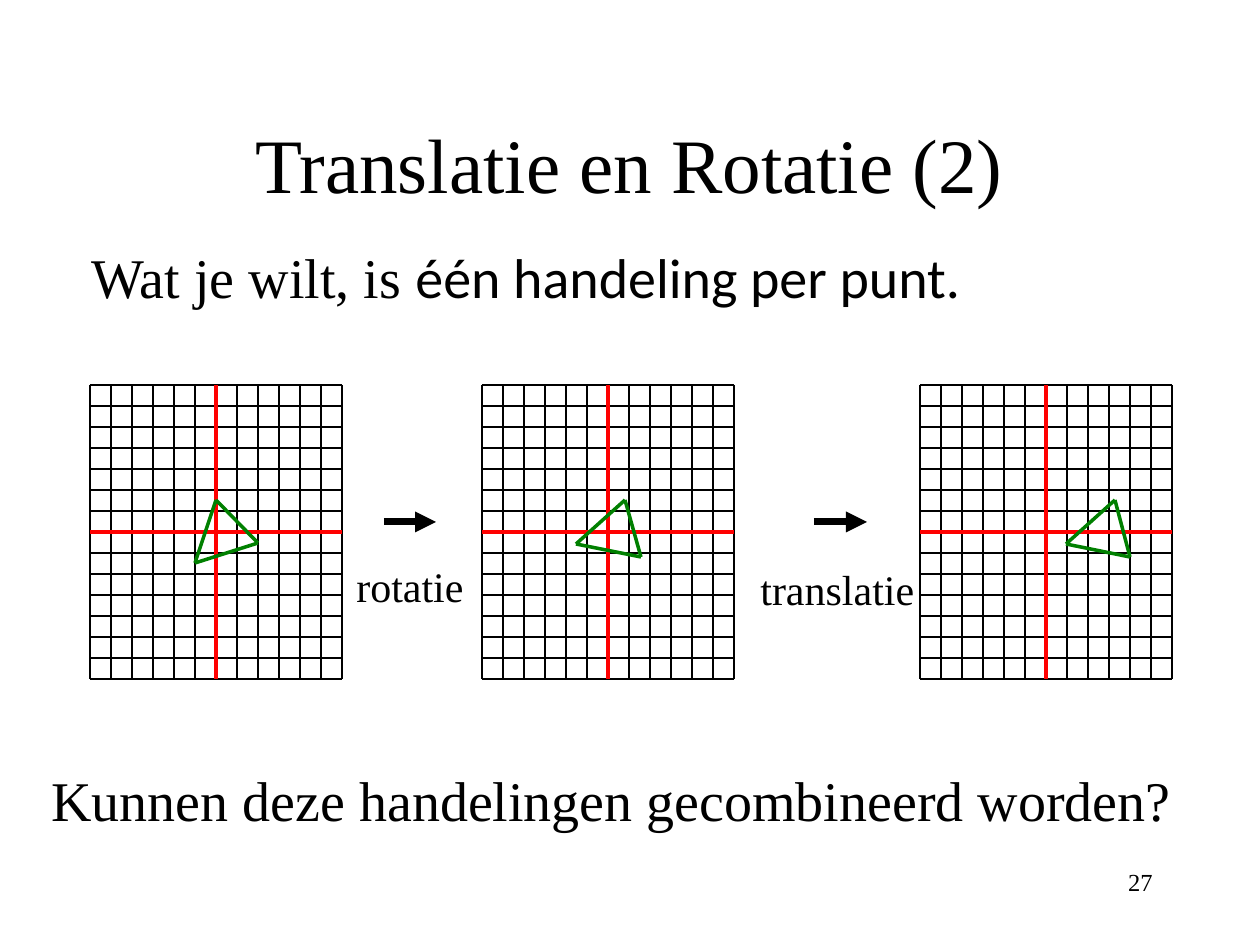
from dataclasses import dataclass

from lxml.etree import SubElement
from pptx import Presentation
from pptx.dml.color import RGBColor
from pptx.enum.shapes import MSO_CONNECTOR as CONN
from pptx.enum.text import MSO_ANCHOR as ANCHOR, PP_ALIGN as ALIGN
from pptx.oxml.ns import qn
from pptx.util import Emu, Pt

SCALE = 914400 / 126
CELL, COLS, ROWS = 21, 12, 14
GRID_TOP = 385
BLACK, RED, GREEN = "000000", "FF0000", "008000"
SERIF, SANS = "Times New Roman", "Calibri"

Point = tuple[int, int]


@dataclass
class Panel:
    left: int
    triangle: list[Point]


@dataclass
class Arrow:
    start: int
    end: int


@dataclass
class Label:
    box: tuple[int, int, int, int]
    runs: list[tuple[str, str]]
    size: int
    align: ALIGN = ALIGN.LEFT
    wrap: bool = True


PANELS = [
    Panel(90, [(216, 500), (195, 563), (258, 543)]),
    Panel(482, [(625, 500), (576, 544), (641, 557)]),
    Panel(920, [(1115, 500), (1066, 544), (1130, 557)]),
]
ARROWS = [Arrow(384, 436), Arrow(814, 867)]
LABELS = [
    Label((79, 236, 1071, 111),
          [("Wat je wilt, is ", SERIF), ("één handeling per punt.", SANS)], 32),
    Label((344, 554, 137, 63), [("rotatie", SERIF)], 24, wrap=False),
    Label((748, 557, 179, 63), [("translatie", SERIF)], 24, wrap=False),
    Label((39, 759, 1152, 81),
          [("Kunnen deze handelingen gecombineerd worden?", SERIF)], 32, wrap=False),
    Label((903, 861, 262, 63), [("27", SERIF)], 14, ALIGN.RIGHT),
]


def px(n: int) -> Emu:
    return Emu(round(n * SCALE))


def rgb(color: str) -> RGBColor:
    return RGBColor.from_string(color)


def style_run(r, font: str, size: int) -> None:
    r.font.name = font
    r.font.size = Pt(size)
    r.font.color.rgb = rgb(BLACK)


def add_line(s, start: Point, end: Point, color: str, width: float):
    line = s.shapes.add_connector(CONN.STRAIGHT, *map(px, start + end))
    line.line.color.rgb = rgb(color)
    line.line.width = Pt(width)
    SubElement(line._element.spPr, qn("a:effectLst"))
    return line


def add_panel(s, panel: Panel) -> None:
    left, top = panel.left, GRID_TOP
    right, bottom = left + COLS * CELL, top + ROWS * CELL
    for x in range(left, right + 1, CELL):
        add_line(s, (x, top), (x, bottom), BLACK, 0.75)
    for y in range(top, bottom + 1, CELL):
        add_line(s, (left, y), (right, y), BLACK, 0.75)
    mid_x, mid_y = (left + right) // 2, (top + bottom) // 2
    add_line(s, (left, mid_y), (right, mid_y), RED, 2)
    add_line(s, (mid_x, bottom), (mid_x, top), RED, 2)
    corners = panel.triangle
    for start, end in zip(corners, corners[1:] + corners[:1]):
        add_line(s, start, end, GREEN, 2)


def add_arrow(s, arrow: Arrow) -> None:
    line = add_line(s, (arrow.start, 522), (arrow.end, 522), BLACK, 4)
    SubElement(line.line._get_or_add_ln(), qn("a:tailEnd"), type="triangle")


def add_label(s, label: Label) -> None:
    tf = s.shapes.add_textbox(*map(px, label.box)).text_frame
    tf.word_wrap = label.wrap
    p = tf.paragraphs[0]
    p.alignment = label.align
    for text, font in label.runs:
        r = p.add_run()
        r.text = text
        style_run(r, font, label.size)


def set_title(s, text: str) -> None:
    sp = s.shapes.title
    sp.left, sp.top, sp.width, sp.height = map(px, (94, 84, 1071, 158))
    tf = sp.text_frame
    tf.text = text
    tf.vertical_anchor = ANCHOR.MIDDLE
    p = tf.paragraphs[0]
    p.alignment = ALIGN.CENTER
    style_run(p.runs[0], SERIF, 44)


def main() -> None:
    prs = Presentation()
    prs.slide_width, prs.slide_height = px(1260), px(945)
    s = prs.slides.add_slide(prs.slide_layouts[5])
    set_title(s, "Translatie en Rotatie (2)")
    for panel in PANELS:
        add_panel(s, panel)
    for arrow in ARROWS:
        add_arrow(s, arrow)
    for label in LABELS:
        add_label(s, label)
    prs.save("out.pptx")


if __name__ == "__main__":
    main()
